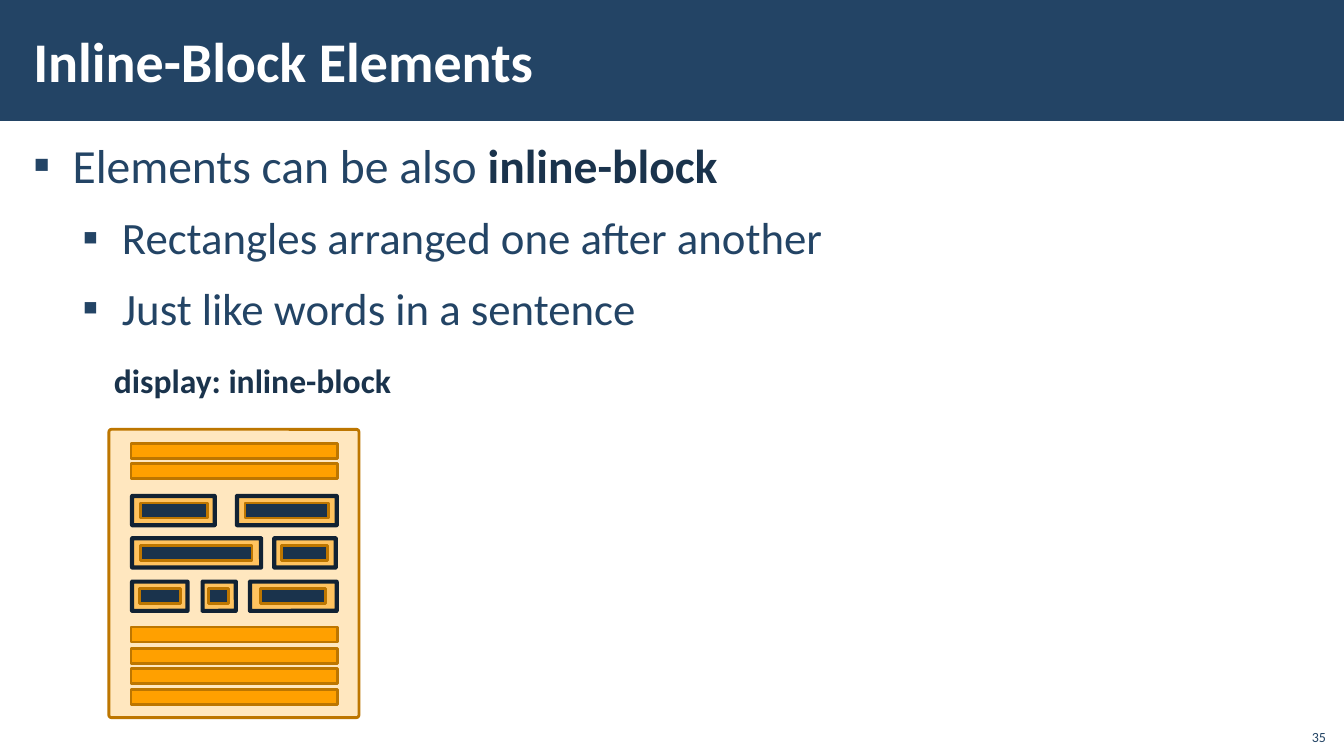
from dataclasses import dataclass

from lxml import etree
from pptx import Presentation
from pptx import util as u
from pptx.dml.color import RGBColor
from pptx.enum import shapes, text
from pptx.oxml.ns import qn

PX = 9144  # 100 px to the inch
FONT = "Calibri"
BLUE, NAVY, INK = "234465", "1A334C", "112233"
ORANGE, BROWN, WHITE = "FFA000", "BD7600", "FFFFFF"
RECT = shapes.MSO_SHAPE.RECTANGLE
ROUND = shapes.MSO_SHAPE.ROUNDED_RECTANGLE
ALIGN, ANCHOR = text.PP_ALIGN, text.MSO_ANCHOR


@dataclass
class Box:
    x: int
    y: int
    w: int
    h: int

    def emu(self) -> list[int]:
        return [u.Emu(v * PX) for v in (self.x, self.y, self.w, self.h)]


@dataclass
class Style:
    kind: int
    fill: str
    line: str = ""
    width: int = 0
    alpha: int = 100


@dataclass
class InlineBlock:
    """Outer frame and the content bar inside it, as left and width."""
    x: int
    w: int
    inner_x: int
    inner_w: int


@dataclass
class Bullet:
    level: int
    size: int
    plain: str
    strong: str = ""


BAND = Style(RECT, BLUE)
PAGE = Style(ROUND, ORANGE, BROWN, 2, 25)
BAR = Style(RECT, ORANGE, BROWN, 2)
FRAME = Style(ROUND, ORANGE, INK, 3, 50)
CONTENT = Style(RECT, NAVY, BROWN, 2)

BAR_TOPS = (440, 460, 622, 643, 663, 684)
INLINE_ROWS = {
    492: [InlineBlock(131, 82, 139, 67), InlineBlock(235, 99, 243, 83)],
    534: [InlineBlock(131, 128, 139, 111), InlineBlock(272, 61, 279, 46)],
    577: [InlineBlock(131, 55, 138, 41), InlineBlock(201, 33, 207, 20),
          InlineBlock(248, 86, 258, 65)],
}
BULLETS = [
    Bullet(0, 34, "Elements can be also ", "inline-block"),
    Bullet(1, 32, "Rectangles arranged one after another"),
    Bullet(1, 32, "Just like words in a sentence"),
]


def rgb(color: str) -> RGBColor:
    return RGBColor.from_string(color)


def add_box(slide, box: Box, style: Style):
    sp = slide.shapes.add_shape(style.kind, *box.emu())
    sp.shadow.inherit = False
    sp.fill.solid()
    sp.fill.fore_color.rgb = rgb(style.fill)
    if style.kind == ROUND:
        sp.adjustments[0] = 0.01
    if style.alpha < 100:
        color = sp.element.spPr.find(qn("a:solidFill")).find(qn("a:srgbClr"))
        etree.SubElement(color, qn("a:alpha"), val=str(style.alpha * 1000))
    if style.line:
        sp.line.color.rgb = rgb(style.line)
        sp.line.width = u.Pt(style.width)
    else:
        sp.line.fill.background()
    return sp


def format_font(font, size: int, color: str, bold: bool = False) -> None:
    font.name, font.size, font.bold = FONT, u.Pt(size), bold
    font.color.rgb = rgb(color)


def set_frame(tf, anchor, side: int = 10, end: int = 5) -> None:
    tf.word_wrap = True
    tf.auto_size = text.MSO_AUTO_SIZE.NONE
    tf.vertical_anchor = anchor
    tf.margin_left = tf.margin_right = side * PX
    tf.margin_top = tf.margin_bottom = end * PX


def add_label(slide, box: Box, words: str, size: int, color: str,
              align, anchor, bold: bool = False) -> None:
    tf = slide.shapes.add_textbox(*box.emu()).text_frame
    set_frame(tf, anchor)
    tf.text = words
    p = tf.paragraphs[0]
    p.alignment = align
    format_font(p.runs[0].font, size, color, bold)


def add_title(slide, words: str) -> None:
    title = slide.shapes.title
    title.left, title.top, title.width, title.height = Box(21, 11, 1063, 97).emu()
    tf = title.text_frame
    set_frame(tf, ANCHOR.MIDDLE, 12, 4)
    tf.text = words
    p = tf.paragraphs[0]
    p.alignment = ALIGN.LEFT
    format_font(p.runs[0].font, 40, WHITE, True)
    band = add_box(slide, Box(0, 0, 1334, 120), BAND)
    title.element.addprevious(band.element)


def add_bullets(slide, box: Box, bullets: list[Bullet]) -> None:
    tf = slide.shapes.add_textbox(*box.emu()).text_frame
    set_frame(tf, ANCHOR.TOP, 12, 4)
    for i, bullet in enumerate(bullets):
        p = tf.add_paragraph() if i else tf.paragraphs[0]
        p.text = bullet.plain
        p.level = bullet.level
        p.space_before = u.Pt(6 if i else 0)
        p.space_after = u.Pt(6)
        pPr = p._p.get_or_add_pPr()
        pPr.set("marL", str((39 + 49 * bullet.level) * PX))
        pPr.set("indent", str(-39 * PX))
        etree.SubElement(pPr, qn("a:buFont"), typeface=FONT)
        etree.SubElement(pPr, qn("a:buChar"), char="▪")
        format_font(p.runs[0].font, bullet.size, BLUE)
        if bullet.strong:
            r = p.add_run()
            r.text = bullet.strong
            format_font(r.font, bullet.size, NAVY, True)


def add_page_sketch(slide) -> None:
    add_box(slide, Box(108, 426, 248, 286), PAGE)
    for top in BAR_TOPS:
        add_box(slide, Box(130, top, 205, 15), BAR)
    for top, blocks in INLINE_ROWS.items():
        for b in blocks:
            add_box(slide, Box(b.x, top, b.w, 29), FRAME)
            add_box(slide, Box(b.inner_x, top + 7, b.inner_w, 15), CONTENT)


def main() -> None:
    prs = Presentation()
    prs.slide_width, prs.slide_height = u.Emu(1333 * PX), u.Emu(750 * PX)
    slide = prs.slides.add_slide(prs.slide_layouts[5])
    add_title(slide, "Inline-Block Elements")
    add_bullets(slide, Box(21, 131, 1292, 605), BULLETS)
    add_label(slide, Box(38, 352, 425, 50), "display: inline-block", 24, NAVY,
              ALIGN.CENTER, ANCHOR.TOP, True)
    add_page_sketch(slide)
    add_label(slide, Box(1285, 712, 40, 32), "35", 10, BLUE,
              ALIGN.RIGHT, ANCHOR.BOTTOM)
    prs.save("out.pptx")


if __name__ == "__main__":
    main()
